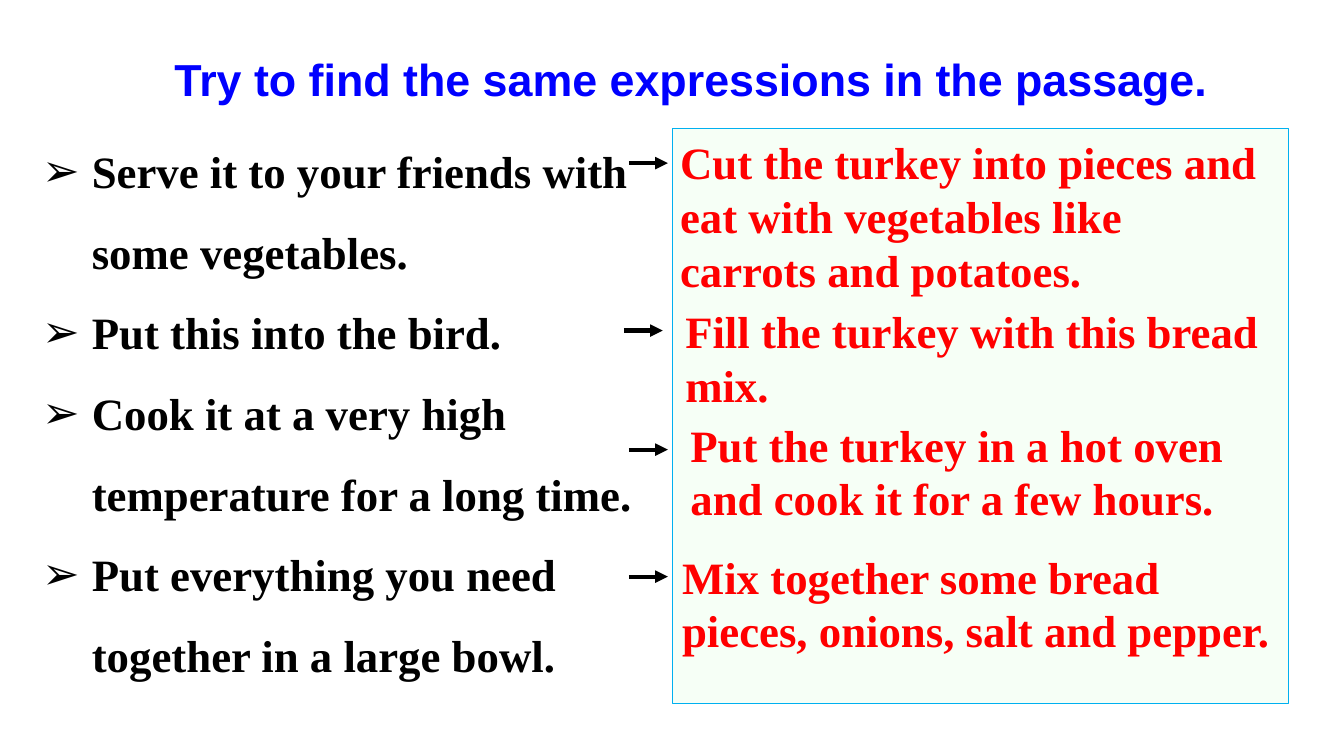
from dataclasses import dataclass

from lxml import etree
from pptx import Presentation
from pptx.dml.color import RGBColor
from pptx.enum.shapes import MSO_CONNECTOR, MSO_SHAPE
from pptx.enum.text import MSO_ANCHOR, MSO_AUTO_SIZE, PP_ALIGN
from pptx.oxml.ns import qn
from pptx.util import Cm, Pt

RECTANGLE = MSO_SHAPE.RECTANGLE
STRAIGHT = MSO_CONNECTOR.STRAIGHT
TOP = MSO_ANCHOR.TOP
NO_FIT = MSO_AUTO_SIZE.NONE
LEFT = PP_ALIGN.LEFT


@dataclass(frozen=True)
class Theme:
    title_font: str = "Arial"
    text_font: str = "Times New Roman"
    size: float = 32
    title: str = "0000FF"
    text: str = "000000"
    answer: str = "FF0000"
    panel: str = "EFFFEF"
    border: str = "00B0F0"


PROMPTS = [
    "Serve it to your friends with some vegetables.",
    "Put this into the bird.",
    "Cook it at a very high temperature for a long time.",
    "Put everything you need together in a large bowl.",
]
ANSWERS = [
    ("Cut the turkey into pieces and eat with vegetables like carrots and potatoes.",
     (16.89, 3.28, 15.11, 4.37), (15.85, 4.11)),
    ("Fill the turkey with this bread mix.",
     (17.02, 7.54, 15.11, 3), (15.72, 8.33)),
    ("Put the turkey in a hot oven and cook it for a few hours.",
     (17.15, 10.39, 15.11, 3), (15.85, 11.33)),
    ("Mix together some bread pieces, onions, salt and pepper.",
     (16.94, 13.72, 15.62, 3), (15.85, 14.53)),
]
ARROW_LENGTH = 0.98


class PageBuilder:
    """Draws themed elements on one page."""

    def __init__(self, page, theme):
        self.page = page
        self.theme = theme

    def fill_text(self, box, lines, font, color, spacing=1.0, bullet=None):
        frame = box.text_frame
        frame.word_wrap = True
        frame.auto_size = NO_FIT
        frame.vertical_anchor = TOP
        frame.text = "\n".join(lines)
        for para in frame.paragraphs:
            para.alignment = LEFT
            para.line_spacing = spacing
            para.space_before = Pt(0)
            if bullet:
                self.add_bullet(para, bullet)
            para.font.name = font
            para.font.size = Pt(self.theme.size)
            para.font.bold = True
            para.font.color.rgb = RGBColor.from_string(color)

    def add_bullet(self, para, symbol):
        properties = para._p.get_or_add_pPr()
        properties.set("marL", str(Cm(1.25)))
        properties.set("indent", str(-Cm(1.25)))
        etree.SubElement(properties, qn("a:buFont")).set("typeface", self.theme.title_font)
        etree.SubElement(properties, qn("a:buChar")).set("char", symbol)

    def place(self, box, left, top, width, height):
        box.left, box.top = Cm(left), Cm(top)
        box.width, box.height = Cm(width), Cm(height)

    def title(self, text, bounds):
        box = self.page.shapes.title
        self.place(box, *bounds)
        self.fill_text(box, [text], self.theme.title_font, self.theme.title, 1.2)

    def bullets(self, lines, bounds):
        box = self.page.placeholders[1]
        self.place(box, *bounds)
        self.fill_text(box, lines, self.theme.text_font, self.theme.text, 1.5, "➢")

    def panel(self, bounds):
        box = self.page.shapes.add_shape(RECTANGLE, *map(Cm, bounds))
        box.shadow.inherit = False
        box.fill.solid()
        box.fill.fore_color.rgb = RGBColor.from_string(self.theme.panel)
        color = box.fill._xPr.find(f".//{qn('a:srgbClr')}")
        etree.SubElement(color, qn("a:alpha")).set("val", "50000")
        box.line.color.rgb = RGBColor.from_string(self.theme.border)
        box.line.width = Pt(0.75)

    def answer(self, text, bounds):
        box = self.page.shapes.add_textbox(*map(Cm, bounds))
        self.fill_text(box, [text], self.theme.text_font, self.theme.answer)

    def arrow(self, left, top):
        arrow = self.page.shapes.add_connector(
            STRAIGHT, Cm(left), Cm(top), Cm(left + ARROW_LENGTH), Cm(top))
        arrow.line.color.rgb = RGBColor.from_string(self.theme.text)
        arrow.line.width = Pt(3)
        etree.SubElement(arrow.line._get_or_add_ln(), qn("a:tailEnd")).set("type", "triangle")
        etree.SubElement(arrow._element.spPr, qn("a:effectLst"))


def main():
    deck = Presentation()
    deck.slide_width, deck.slide_height = Cm(33.87), Cm(19.05)
    page = deck.slides.add_slide(deck.slide_layouts[1])
    builder = PageBuilder(page, Theme())
    builder.title("Try to find the same expressions in the passage.", (4.14, 0.91, 27.81, 1.9))
    builder.bullets(PROMPTS, (0.81, 2.82, 15.52, 14.38))
    builder.panel((16.94, 3.25, 15.54, 14.48))
    for text, bounds, arrow_start in ANSWERS:
        builder.answer(text, bounds)
        builder.arrow(*arrow_start)
    deck.save("out.pptx")


if __name__ == "__main__":
    main()
